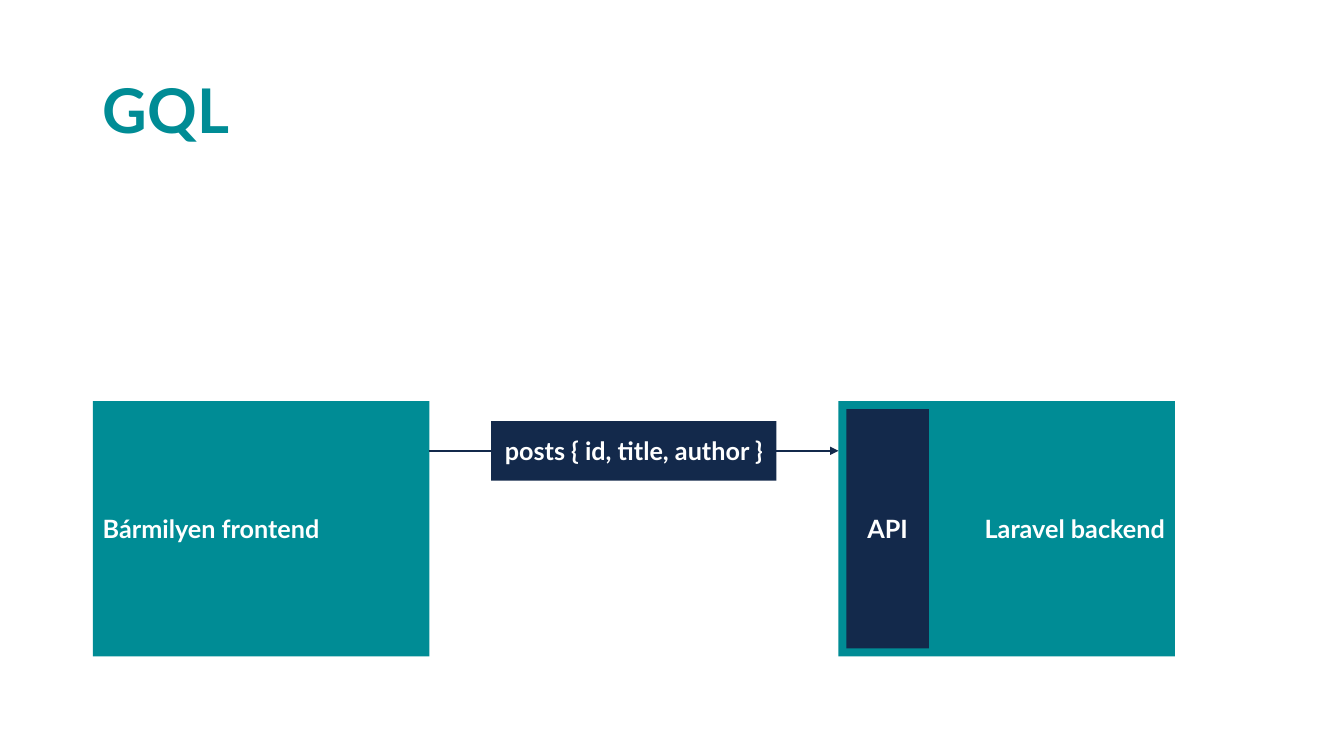
from dataclasses import dataclass

import pptx
import pptx.dml.color
import pptx.enum.shapes
import pptx.enum.text
import pptx.oxml
import pptx.oxml.ns
import pptx.presentation
import pptx.shapes.connector
import pptx.slide
import pptx.text.text
import pptx.util
from pptx.util import Cm

TEAL = "008C95"
NAVY = "13294B"
WHITE = "FFFFFF"
FONT = "Lato"
Align = pptx.enum.text.PP_ALIGN

# Shared layout, in centimetres
LEFT = 2.34
SYSTEM_TOP, SYSTEM_WIDTH, SYSTEM_HEIGHT = 10.11, 8.48, 6.43
BACKEND_LEFT = 21.13
API_INSET = 0.2
FRONTEND_RIGHT = LEFT + SYSTEM_WIDTH
REQUEST_Y = 11.36
QUERY_WIDTH, QUERY_HEIGHT = 7.19, 1.5


@dataclass
class Box:
    text: str
    left: float
    top: float
    width: float
    height: float
    fill: str
    align: Align


BACKGROUND_BOXES = [
    Box("Laravel backend", BACKEND_LEFT, SYSTEM_TOP, SYSTEM_WIDTH, SYSTEM_HEIGHT, TEAL, Align.RIGHT),
    Box("API", BACKEND_LEFT + API_INSET, SYSTEM_TOP + API_INSET,
        2.08, SYSTEM_HEIGHT - 2 * API_INSET, NAVY, Align.CENTER),
    Box("Bármilyen frontend", LEFT, SYSTEM_TOP, SYSTEM_WIDTH, SYSTEM_HEIGHT, TEAL, Align.LEFT),
]
QUERY_BOX = Box("posts { id, title, author }", (FRONTEND_RIGHT + BACKEND_LEFT - QUERY_WIDTH) / 2,
                REQUEST_Y - QUERY_HEIGHT / 2, QUERY_WIDTH, QUERY_HEIGHT, NAVY, Align.CENTER)


def color(value: str) -> pptx.dml.color.RGBColor:
    return pptx.dml.color.RGBColor.from_string(value)


def write_text(frame: pptx.text.text.TextFrame, text: str, size: int, text_color: str,
               paragraph_format: dict) -> None:
    frame.word_wrap = True
    frame.vertical_anchor = pptx.enum.text.MSO_ANCHOR.MIDDLE
    paragraph = frame.paragraphs[0]
    for name, value in paragraph_format.items():
        setattr(paragraph, name, value)
    run = paragraph.add_run()
    run.text = text
    font_format = {"name": FONT, "size": pptx.util.Pt(size), "bold": True}
    for name, value in font_format.items():
        setattr(run.font, name, value)
    run.font.color.rgb = color(text_color)


def add_title(slide: pptx.slide.Slide, text: str) -> None:
    title = slide.shapes.title
    place = {"left": Cm(LEFT), "top": Cm(1.02), "width": Cm(29.21), "height": Cm(3.68)}
    for name, value in place.items():
        setattr(title, name, value)
    write_text(title.text_frame, text, 44, TEAL, {"alignment": Align.LEFT, "line_spacing": 0.9})


def add_box(slide: pptx.slide.Slide, box: Box) -> None:
    shape = slide.shapes.add_shape(pptx.enum.shapes.MSO_SHAPE.RECTANGLE, Cm(box.left),
                                   Cm(box.top), Cm(box.width), Cm(box.height))
    shape.shadow.inherit = False
    shape.fill.solid()
    shape.fill.fore_color.rgb = color(box.fill)
    shape.line.fill.background()
    write_text(shape.text_frame, box.text, 18, WHITE, {"alignment": box.align})


def add_arrow(slide: pptx.slide.Slide) -> pptx.shapes.connector.Connector:
    arrow = slide.shapes.add_connector(pptx.enum.shapes.MSO_CONNECTOR.STRAIGHT, Cm(FRONTEND_RIGHT),
                                       Cm(REQUEST_Y), Cm(BACKEND_LEFT), Cm(REQUEST_Y))
    arrow.line.width = pptx.util.Pt(1.5)
    arrow.line.color.rgb = color(NAVY)
    properties = arrow.element.spPr
    head = pptx.oxml.parse_xml(f'<a:tailEnd {pptx.oxml.ns.nsdecls("a")} type="triangle"/>')
    properties.find(pptx.oxml.ns.qn("a:ln")).append(head)
    properties.append(pptx.oxml.parse_xml(f'<a:effectLst {pptx.oxml.ns.nsdecls("a")}/>'))
    return arrow


def main() -> None:
    presentation = pptx.Presentation()
    presentation.slide_width = Cm(33.87)
    presentation.slide_height = Cm(19.05)
    slide = presentation.slides.add_slide(presentation.slide_layouts.get_by_name("Title Only"))

    add_title(slide, "GQL")

    # Frontend, backend and its API
    for box in BACKGROUND_BOXES:
        add_box(slide, box)

    # Request from frontend to API, with the query on top
    add_arrow(slide)
    add_box(slide, QUERY_BOX)

    presentation.save("out.pptx")


if __name__ == "__main__":
    main()
